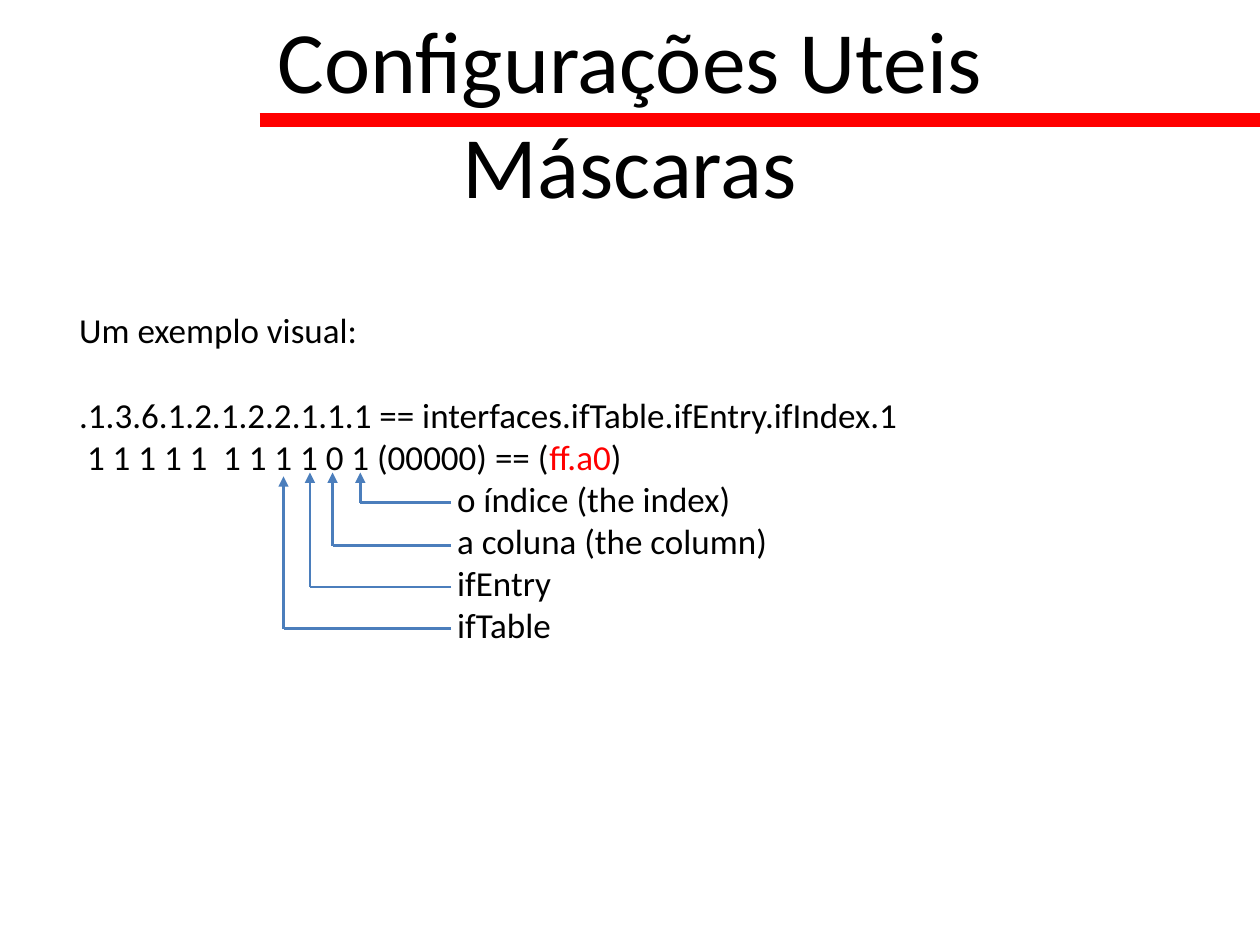
from lxml import etree
from pptx import Presentation
from pptx import util as u
from pptx.dml.color import RGBColor
from pptx.enum import shapes, text
from pptx.oxml.ns import qn

BLACK = RGBColor(0x00, 0x00, 0x00)
RED = RGBColor(0xFF, 0x00, 0x00)
BLUE = RGBColor(0x4B, 0x7E, 0xBC)
FONT = "Calibri"
TITLE_ONLY = 5

BODY_SIZE = 20
BLANK_LINE = 24.4  # points, one line of body text
LABEL_INDENT = u.Inches(3)
LABEL_EDGE = 3.58  # where the leader lines meet the labels

# Label, x of the mask digit it explains, y of the arrow tip, y of the label
LEADERS = [
    ("o índice (the index)", 2.86, 3.75, 3.99),
    ("a coluna (the column)", 2.64, 3.75, 4.33),
    ("ifEntry", 2.46, 3.75, 4.66),
    ("ifTable", 2.25, 3.78, 4.99),
]


def add_run(paragraph, content, size=BODY_SIZE, color=BLACK):
    run = paragraph.add_run()
    run.text = content
    run.font.name = FONT
    run.font.size = u.Pt(size)
    run.font.color.rgb = color


def write_paragraph(frame, *parts, size=BODY_SIZE, align=text.PP_ALIGN.LEFT,
                    before=0, indent=0):
    """Add a paragraph; each part is a string or a (string, color) pair."""
    first = frame.paragraphs[0]
    paragraph = frame.add_paragraph() if first.runs else first
    paragraph.alignment = align
    paragraph.space_before = u.Pt(before)
    if indent:
        paragraph._p.get_or_add_pPr().set("marL", str(indent))
    for part in parts:
        content, color = (part, BLACK) if isinstance(part, str) else part
        add_run(paragraph, content, size=size, color=color)


def prepare_frame(shape, left, top, width, height):
    shape.left, shape.top = u.Inches(left), u.Inches(top)
    shape.width, shape.height = u.Inches(width), u.Inches(height)
    frame = shape.text_frame
    frame.word_wrap = True
    frame.auto_size = text.MSO_AUTO_SIZE.NONE
    frame.vertical_anchor = text.MSO_ANCHOR.TOP
    return frame


def add_line(slide, start, end, color=BLUE, width=1.5, arrow_at_start=False):
    points = [u.Inches(value) for value in (*start, *end)]
    line = slide.shapes.add_connector(shapes.MSO_CONNECTOR.STRAIGHT, *points)
    line.line.color.rgb = color
    line.line.width = u.Pt(width)
    if arrow_at_start:
        outline = line.line._get_or_add_ln()
        etree.SubElement(outline, qn("a:headEnd"), type="triangle")
    etree.SubElement(line._element.spPr, qn("a:effectLst"))
    return line


def add_title(slide):
    frame = prepare_frame(slide.shapes.title, 0, 0, 10, 1.78)
    for content in ("Configurações Uteis", "Máscaras"):
        write_paragraph(frame, content, size=50, align=text.PP_ALIGN.CENTER)


def add_example(slide):
    box = slide.shapes.add_textbox(0, 0, 0, 0)
    frame = prepare_frame(box, 0.53, 2.4, 8.96, 2.79)
    write_paragraph(frame, "Um exemplo visual:")
    write_paragraph(
        frame, ".1.3.6.1.2.1.2.2.1.1.1 == interfaces.ifTable.ifEntry.ifIndex.1",
        before=BLANK_LINE)
    write_paragraph(frame, " 1 1 1 1 1  1 1 1 1 0 1 (00000) == (",
                    ("ff.a0", RED), ")")
    for label, *_ in LEADERS:
        write_paragraph(frame, label, indent=LABEL_INDENT)


def add_leader(slide, digit_x, tip_y, label_y):
    corner = (digit_x, label_y)
    add_line(slide, (digit_x, tip_y), corner, arrow_at_start=True)
    add_line(slide, (LABEL_EDGE, label_y), corner)


def main():
    presentation = Presentation()
    presentation.slide_width = u.Inches(10)
    presentation.slide_height = u.Inches(7.5)
    slide = presentation.slides.add_slide(
        presentation.slide_layouts[TITLE_ONLY])

    # Red rule, behind the title
    rule = add_line(slide, (2.06, 0.95), (10, 0.95), color=RED, width=8)
    slide.shapes.title._element.addprevious(rule._element)

    add_title(slide)
    add_example(slide)

    # Leader lines from the labels to the mask digits
    for _, digit_x, tip_y, label_y in LEADERS:
        add_leader(slide, digit_x, tip_y, label_y)

    presentation.save("out.pptx")


if __name__ == "__main__":
    main()
